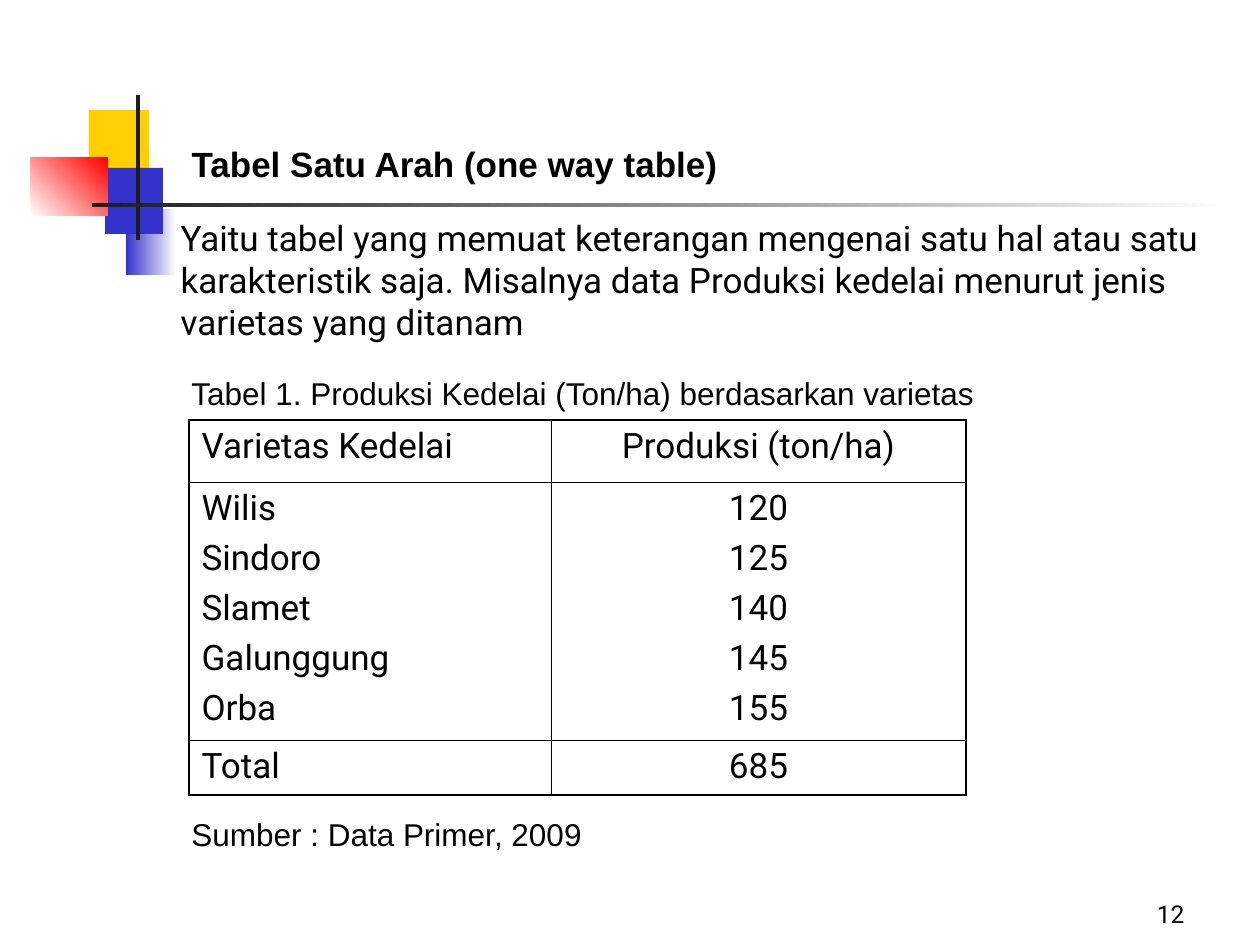
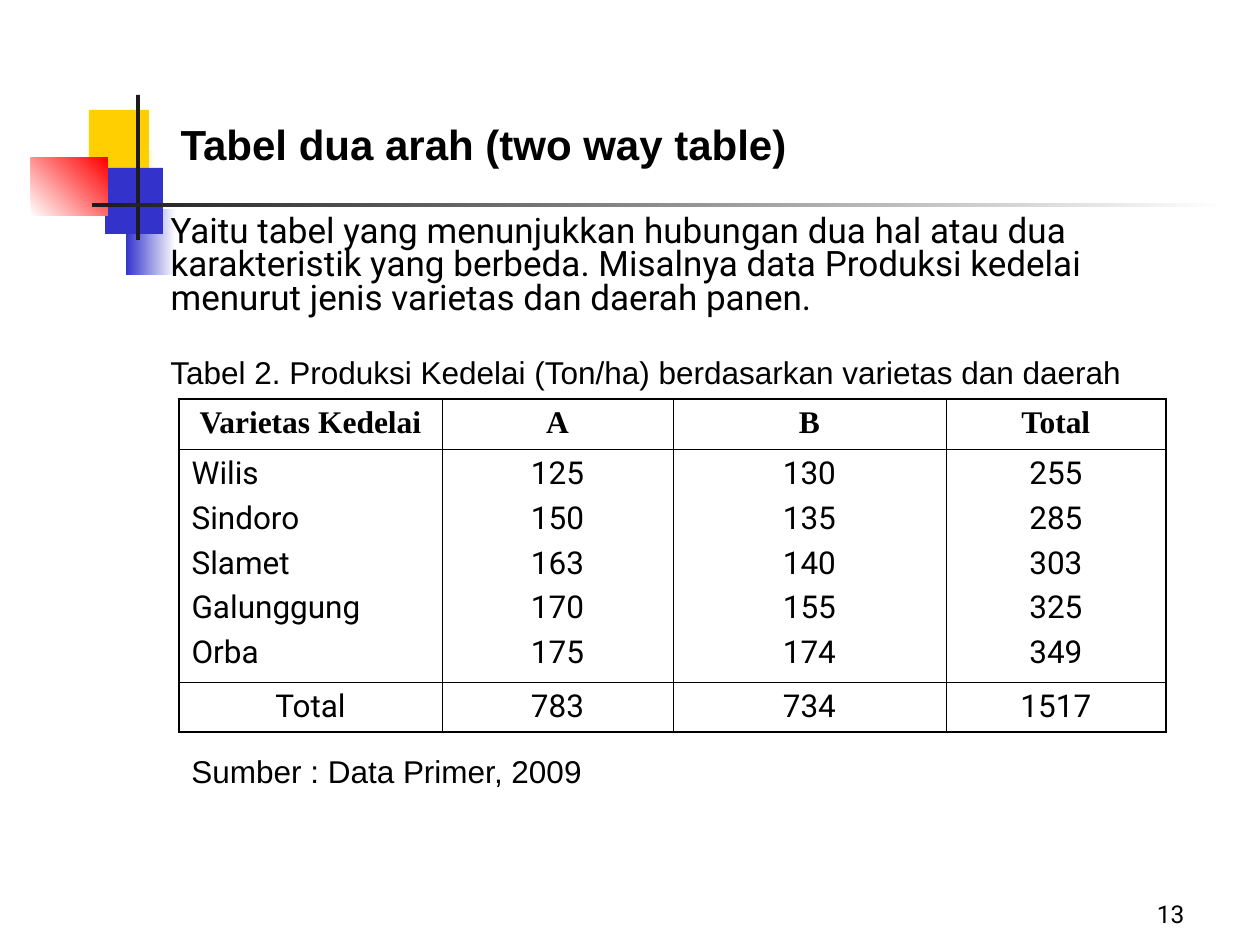
from dataclasses import dataclass

from lxml.etree import SubElement
from pptx import Presentation
from pptx.dml.color import RGBColor
from pptx.enum.shapes import MSO_SHAPE
from pptx.enum.text import MSO_ANCHOR, MSO_AUTO_SIZE, PP_ALIGN
from pptx.oxml import parse_xml
from pptx.oxml.ns import nsdecls, qn
from pptx.util import Emu, Pt

PX = 914400 / 126


@dataclass(frozen=True)
class Theme:
    ink: str = "000000"
    paper: str = "FFFFFF"
    yellow: str = "FFCF01"
    blue: str = "3333CC"
    red: str = "FF0000"
    bar: str = "1C1C1C"
    body_font: str = "Roboto"
    label_font: str = "Arial"
    head_font: str = "Times New Roman"
    large: int = 24
    body: int = 20
    label: int = 18
    page: int = 14
    outer_line: float = 1.08
    inner_line: float = 0.45


T = Theme()


def px(*lengths):
    return [Emu(round(n * PX)) for n in lengths]


def write(tf, text, size=T.body, font=T.body_font, bold=False,
          align=PP_ALIGN.LEFT, gap=0, spacing=None):
    for i, line in enumerate(text.split("\n")):
        p = tf.add_paragraph() if i else tf.paragraphs[0]
        p.alignment = align
        p.space_before = Pt(gap if i else 0)
        p.line_spacing = spacing
        r = p.add_run()
        r.text = line
        r.font.size = Pt(size)
        r.font.name = font
        r.font.bold = bold
        r.font.color.rgb = RGBColor.from_string(T.ink)


class Deck:
    def __init__(self):
        self.prs = Presentation()
        self.prs.slide_width, self.prs.slide_height = px(1260, 945)
        self.layout = self.prs.slide_layouts[1]
        self.s = None

    def slide(self, page):
        self.s = self.prs.slides.add_slide(self.layout)
        if len(self.prs.slides) == 1:
            self.emblem()
        self.text(str(page), 935, 872, 262, 63, size=T.page,
                  align=PP_ALIGN.RIGHT, anchor=MSO_ANCHOR.BOTTOM)

    def emblem(self):
        for ph in list(self.layout.placeholders)[2:]:
            ph.element.getparent().remove(ph.element)
        parts = [
            self.rect(111, 151, 45, 66, T.yellow, T.paper),
            self.rect(126, 209, 50, 66, T.blue, T.paper),
            self.rect(89, 110, 60, 66, T.yellow),
            self.rect(105, 168, 58, 66, T.blue),
            self.rect(31, 158, 77, 58, T.paper, T.red, angle=45),
            self.rect(136, 95, 4, 145, T.bar),
            self.rect(92, 203, 1134, 4, T.bar, T.paper),
        ]
        for sp in parts:
            self.layout.shapes.element.append(sp.element)

    def rect(self, x, y, w, h, color, end=None, angle=0):
        sp = self.s.shapes.add_shape(MSO_SHAPE.RECTANGLE, *px(x, y, w, h))
        sp.shadow.inherit = False
        sp.line.fill.background()
        if end:
            sp.fill.gradient()
            sp.fill.gradient_angle = angle
            for stop, c in zip(sp.fill.gradient_stops, (color, end)):
                stop.color.rgb = RGBColor.from_string(c)
        else:
            sp.fill.solid()
            sp.fill.fore_color.rgb = RGBColor.from_string(color)
        return sp

    def frame(self, sp, text, anchor=MSO_ANCHOR.TOP, **fmt):
        tf = sp.text_frame
        tf.word_wrap = True
        tf.auto_size = MSO_AUTO_SIZE.NONE
        tf.vertical_anchor = anchor
        write(tf, text, **fmt)

    def text(self, text, x, y, w, h, **fmt):
        self.frame(self.s.shapes.add_textbox(*px(x, y, w, h)), text, **fmt)

    def label(self, text, x, y):
        self.text(text, x, y, 980, 50, size=T.label, font=T.label_font)

    def place(self, sp, x, y, w, h):
        sp.left, sp.top, sp.width, sp.height = px(x, y, w, h)

    def title(self, text, x, y, w, h, **fmt):
        sp = self.s.shapes.title
        self.place(sp, x, y, w, h)
        self.frame(sp, text, font=T.label_font, bold=True, **fmt)

    def body(self, text, x, y, w, h, **fmt):
        sp = self.s.placeholders[1]
        self.place(sp, x, y, w, h)
        self.frame(sp, text, **fmt)
        for p in sp.text_frame.paragraphs:
            pPr = p._p.get_or_add_pPr()
            pPr.set("marL", "0")
            pPr.set("indent", "0")
            SubElement(pPr, qn("a:buNone"))

    def table(self, rows, x, y, widths, heights, cell_format):
        n_rows, n_cols = len(heights), len(widths)
        table = self.s.shapes.add_table(
            n_rows, n_cols, *px(x, y, sum(widths), sum(heights))).table
        table.first_row = table.horz_banding = False
        for col, w in zip(table.columns, px(*widths)):
            col.width = w
        for row, h in zip(table.rows, px(*heights)):
            row.height = h
        for i, row in enumerate(rows):
            for j, text in enumerate(row):
                cell = table.cell(i, j)
                cell.fill.background()
                write(cell.text_frame, text, **cell_format(i, j))
                self.borders(cell, L=j == 0, R=j == n_cols - 1,
                             T=i == 0, B=i == n_rows - 1)

    def borders(self, cell, **outer):
        tcPr = cell._tc.get_or_add_tcPr()
        for k, (side, is_outer) in enumerate(outer.items()):
            width = Pt(T.outer_line if is_outer else T.inner_line)
            tcPr.insert(k, parse_xml(
                f'<a:ln{side} {nsdecls("a")} w="{width}"><a:solidFill>'
                f'<a:srgbClr val="{T.ink}"/></a:solidFill></a:ln{side}>'))


def one_way_format(i, j):
    return dict(gap=5, align=PP_ALIGN.CENTER if j else PP_ALIGN.LEFT)


def two_way_format(i, j):
    left = i == 1 and j == 0
    return dict(size=T.label, gap=4.5, bold=i == 0,
                font=T.body_font if i else T.head_font,
                align=PP_ALIGN.LEFT if left else PP_ALIGN.CENTER)


def main():
    deck = Deck()
    varieties = "Wilis\nSindoro\nSlamet\nGalunggung\nOrba"
    source = "Sumber : Data Primer, 2009"

    deck.slide(12)
    deck.title("Tabel Satu Arah (one way table)", 179, 136, 977, 55, size=T.body)
    deck.body("Yaitu tabel yang memuat keterangan mengenai satu hal atau satu "
              "karakteristik saja. Misalnya data Produksi kedelai menurut jenis "
              "varietas yang ditanam", 168, 210, 1061, 147)
    deck.table([["Varietas Kedelai", "Produksi (ton/ha)"],
                [varieties, "120\n125\n140\n145\n155"],
                ["Total", "685"]],
               189, 420, [362, 415], [62, 258, 55], one_way_format)
    deck.label("Tabel 1. Produksi Kedelai (Ton/ha) berdasarkan varietas", 179, 368)
    deck.label(source, 179, 809)

    deck.slide(13)
    deck.title("Tabel dua arah (two way table)", 168, 126, 672, 48,
               size=T.large, spacing=0.7)
    deck.body("Yaitu tabel yang menunjukkan hubungan dua hal atau dua "
              "karakteristik yang berbeda. Misalnya data Produksi kedelai "
              "menurut jenis varietas dan daerah panen.",
              158, 210, 1071, 126, spacing=0.8)
    deck.table([["Varietas Kedelai", "A", "B", "Total"],
                [varieties, "125\n150\n163\n170\n175",
                 "130\n135\n140\n155\n174", "255\n285\n303\n325\n349"],
                ["Total", "783", "734", "1517"]],
               179, 399, [263, 231, 273, 220], [50, 233, 50], two_way_format)
    deck.label("Tabel 2. Produksi Kedelai (Ton/ha) berdasarkan varietas dan daerah",
               158, 347)
    deck.label(source, 179, 746)

    deck.prs.save("out.pptx")


if __name__ == "__main__":
    main()
